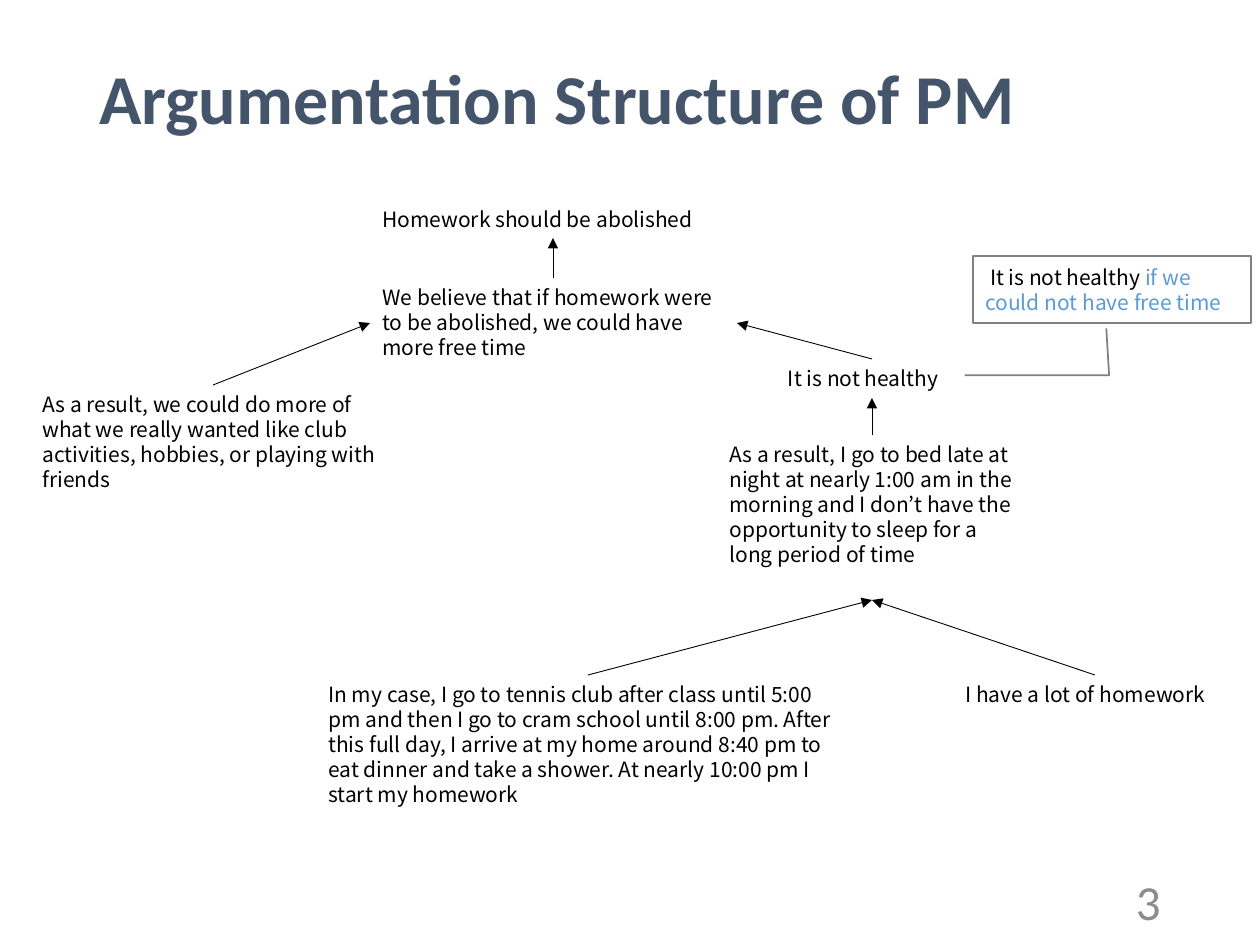
"""Builds the slide showing the argumentation structure of the PM speech."""
from lxml import etree
from pptx import Presentation
from pptx.dml.color import RGBColor
from pptx.enum.shapes import MSO_CONNECTOR, MSO_SHAPE
from pptx.enum.text import MSO_ANCHOR, MSO_AUTO_SIZE, PP_ALIGN
from pptx.oxml.ns import qn
from pptx.util import Emu, Pt

STRAIGHT = MSO_CONNECTOR.STRAIGHT
CALLOUT = MSO_SHAPE.LINE_CALLOUT_2
TOP, MIDDLE = MSO_ANCHOR.TOP, MSO_ANCHOR.MIDDLE
LEFT, RIGHT = PP_ALIGN.LEFT, PP_ALIGN.RIGHT
GROW, FIXED = MSO_AUTO_SIZE.SHAPE_TO_FIT_TEXT, MSO_AUTO_SIZE.NONE

THEME = {
    "title": ("Calibri", 40, "44546A", True),
    "number": ("Calibri", 28, "8C8C8C", False),
    "claim": ("Noto Sans CJK JP", 12, "000000", False),
    "added": ("Noto Sans CJK JP", 12, "5B9BD5", False),
    "arrow": ("000000", 0.5),
    "callout": ("808080", 1),
}
PX = 914400 / 126


def px(*values):
    return [Emu(round(v * PX)) for v in values]


def add_text(box, runs, spacing, anchor=TOP, align=LEFT, size=GROW, wrap=True):
    tf = s.shapes.add_textbox(*px(*box)).text_frame
    tf.word_wrap, tf.auto_size, tf.vertical_anchor = wrap, size, anchor
    p = tf.paragraphs[0]
    p.alignment, p.line_spacing = align, spacing
    for text, style in runs:
        r = p.add_run()
        r.text = text
        r.font.name, points, color, r.font.bold = THEME[style]
        r.font.size = Pt(points)
        r.font.color.rgb = RGBColor.from_string(color)


prs = Presentation()
prs.slide_width, prs.slide_height = px(1260, 945)
s = prs.slides.add_slide(prs.slide_layouts[6])

add_text((87, 43, 1086, 117), [("Argumentation Structure of PM", "title")],
         0.9, MIDDLE, size=FIXED)
add_text((890, 876, 283, 50), [("3", "number")], 1.0, MIDDLE, RIGHT, FIXED)

claims = [
    ((370, 200, 367, 38), True, "Homework should be abolished"),
    ((370, 278, 367, 89), True,
     "We believe that if homework were to be abolished, we could have more free time"),
    ((771, 359, 202, 38), False, "\u00a0It is not healthy"),
    ((717, 435, 310, 165), True,
     "As a result, I go to bed late at night at nearly 1:00 am in the morning "
     "and I don’t have the opportunity to sleep for a long period of time"),
    ((316, 675, 543, 140), True,
     "In my case, I go to tennis club after class until 5:00 pm and then I go to "
     "cram school until 8:00 pm. After this full day, I arrive at my home around "
     "8:40 pm to eat dinner and take a shower. At nearly 10:00 pm I start my homework"),
    ((953, 675, 286, 38), False, "I have a lot of homework"),
    ((30, 385, 367, 115), True,
     "As a result, we could do more of what we really wanted like club activities, "
     "hobbies, or playing with friends"),
]
for box, wrap, text in claims:
    add_text(box, [(text, "claim")], Pt(14.4), wrap=wrap)

arrows = [
    (553, 278, 553, 238),
    (872, 359, 737, 323),
    (213, 385, 370, 323),
    (872, 435, 872, 398),
    (588, 675, 872, 600),
    (1095, 675, 872, 600),
]
color, width = THEME["arrow"]
for ends in arrows:
    arrow = s.shapes.add_connector(STRAIGHT, *px(*ends))
    arrow.line.color.rgb = RGBColor.from_string(color)
    arrow.line.width = Pt(width)
    etree.SubElement(arrow.line._get_or_add_ln(), qn("a:tailEnd"), type="triangle")
    etree.SubElement(arrow._element.spPr, qn("a:effectLst"))

add_text((973, 258, 286, 63),
         [("\u00a0It is not healthy ", "claim"),
          ("if we could not have free time", "added")], Pt(14.4))

callout = s.shapes.add_shape(CALLOUT, *px(973, 256, 278, 67))
for i, value in enumerate((1.08, 0.48, 1.78, 0.49, 1.78, -0.03)):
    callout.adjustments[i] = value
color, width = THEME["callout"]
callout.shadow.inherit = False
callout.fill.background()
callout.line.color.rgb = RGBColor.from_string(color)
callout.line.width = Pt(width)

prs.save("out.pptx")
